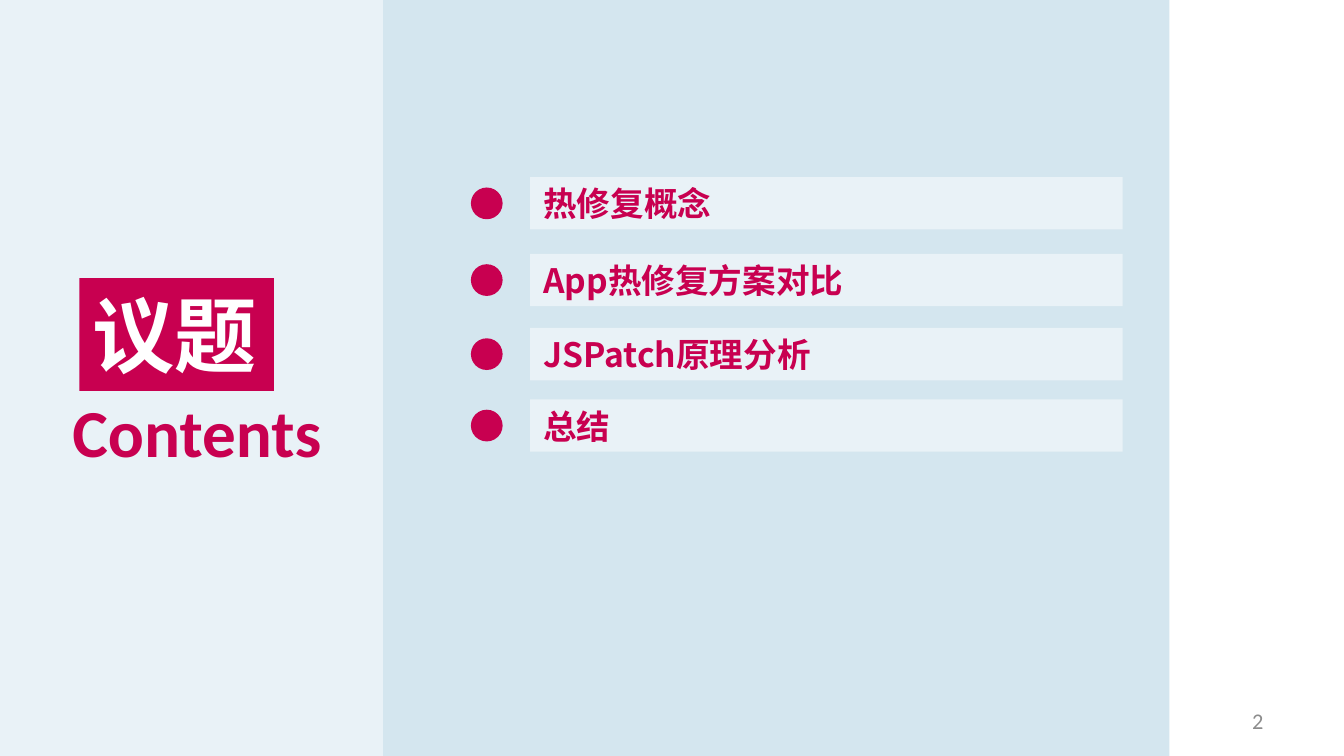
from lxml import etree
from pptx import Presentation
from pptx.dml.color import RGBColor
from pptx.enum.shapes import MSO_SHAPE as Shape
from pptx.enum.text import MSO_ANCHOR as Anchor, PP_ALIGN as Align
from pptx.oxml.ns import qn
from pptx.util import Cm, Pt

SLIDE_W, SLIDE_H = 25.4, 14.29
CRIMSON, WHITE, PALE_BLUE, GREY = "C80050", "FFFFFF", "D4E6EF", "8C8C8C"
LATIN, CJK = "Calibri", "Noto Sans CJK SC"
TOPICS = ["热修复概念", "App热修复方案对比", "JSPatch原理分析", "总结"]
TOPIC_TOPS = [3.35, 4.8, 6.2, 7.55]


def color(hex_code):
    return RGBColor.from_string(hex_code)


def add_block(slide, kind, x, y, w, h, fill, opacity=100):
    """Add a borderless filled shape; opacity is in percent."""
    sp = slide.shapes.add_shape(kind, Cm(x), Cm(y), Cm(w), Cm(h))
    sp.shadow.inherit = False
    sp.line.fill.background()
    sp.fill.solid()
    sp.fill.fore_color.rgb = color(fill)
    if opacity < 100:
        clr = sp.fill._xPr.find(qn("a:solidFill"))[0]
        etree.SubElement(clr, qn("a:alpha"), val=str(opacity * 1000))
    return sp


def write(sp, text, size, font, hex_code, bold=True, align=Align.LEFT,
          anchor=Anchor.TOP, wrap=False):
    tf = sp.text_frame
    tf.word_wrap = wrap
    tf.vertical_anchor = anchor
    p = tf.paragraphs[0]
    p.alignment = align
    r = p.add_run()
    r.text = text
    r.font.size, r.font.bold, r.font.name = Pt(size), bold, font
    r.font.color.rgb = color(hex_code)
    etree.SubElement(r._r.get_or_add_rPr(), qn("a:ea"), typeface=font)


def add_label(slide, x, y, w, h, text, size, hex_code, **style):
    box = slide.shapes.add_textbox(Cm(x), Cm(y), Cm(w), Cm(h))
    write(box, text, size, LATIN, hex_code, **style)


def add_title_panel(slide, x, y, w, h):
    add_block(slide, Shape.RECTANGLE, x, y, w, h, WHITE, opacity=50)
    add_label(slide, x + 1.17, y + 7.26, 5.26, 1.8, "Contents", 36, CRIMSON)
    badge = add_block(slide, Shape.RECTANGLE, x + 1.55, y + 5.26, 3.68, 2.13, CRIMSON)
    write(badge, "议题", 44, CJK, WHITE)


def add_topic(slide, x, y, w, h, text):
    dot, indent = 0.6, 1.12
    add_block(slide, Shape.OVAL, x, y + (h - dot) / 2, dot, dot, CRIMSON)
    bar = add_block(slide, Shape.RECTANGLE, x + indent, y, w - indent, h, WHITE, opacity=50)
    write(bar, text, 18, CJK, CRIMSON, anchor=Anchor.MIDDLE, wrap=True)


def main():
    prs = Presentation()
    prs.slide_width, prs.slide_height = Cm(SLIDE_W), Cm(SLIDE_H)
    slide = prs.slides.add_slide(prs.slide_layouts[6])
    add_block(slide, Shape.RECTANGLE, 0, 0, 22.1, SLIDE_H, PALE_BLUE)
    add_label(slide, 18.2, 13.24, 5.93, 0.76, "2", 12, GREY, bold=False,
              align=Align.RIGHT, anchor=Anchor.MIDDLE, wrap=True)
    add_title_panel(slide, -0.05, 0, 7.29, SLIDE_H)
    for top, topic in zip(TOPIC_TOPS, TOPICS):
        add_topic(slide, 8.9, top, 12.32, 0.99, topic)
    prs.save("out.pptx")


if __name__ == "__main__":
    main()
